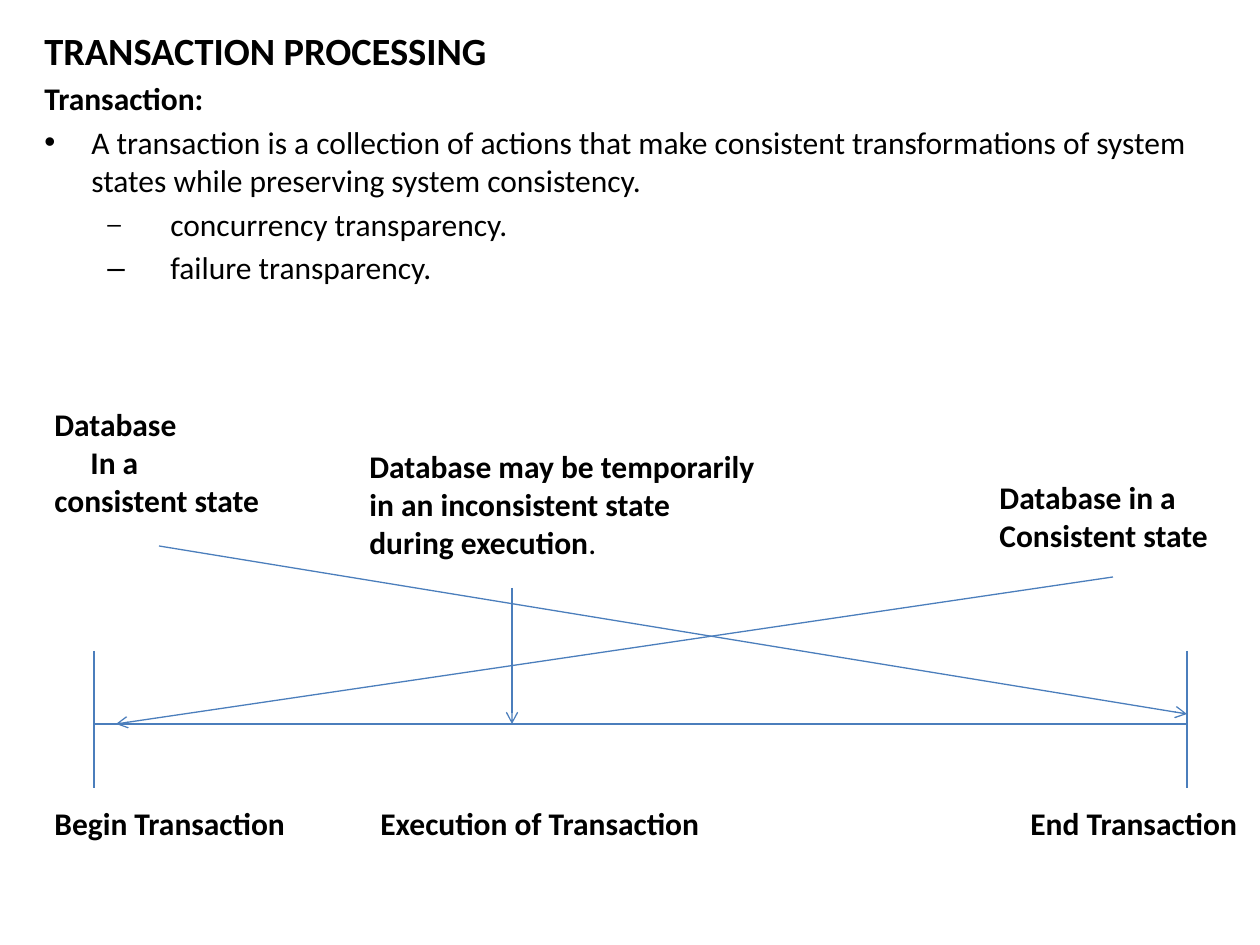
from lxml.etree import SubElement
from pptx import Presentation
from pptx.dml.color import RGBColor
from pptx.enum.shapes import MSO_CONNECTOR
from pptx.oxml.ns import qn
from pptx.util import Emu, Pt

BLACK, BLUE = "000000", "4B7EBC"


def px(length):
    """Turn pixels into EMU at 126 pixels to the inch."""
    return Emu(round(length * 914400 / 126))


def color(value):
    """Turn a hex string into a colour."""
    return RGBColor.from_string(value)


def write(paragraph, text, size=18, bold=True, before=0, margin=0, hanging=0,
          bullet=None, bullet_scale=100):
    """Write one formatted run, and the layout of its paragraph."""
    properties = paragraph._p.get_or_add_pPr()
    properties.set("marL", str(px(margin)))
    properties.set("indent", str(-px(hanging)))
    if bullet:
        SubElement(properties, qn("a:buSzPct"), val=str(bullet_scale * 1000))
        SubElement(properties, qn("a:buFont"), typeface="Arial")
        SubElement(properties, qn("a:buChar"), char=bullet)
    paragraph.space_before = Pt(before)
    run = paragraph.add_run()
    run.text = text
    run.font.name = "Calibri"
    run.font.size = Pt(size)
    run.font.bold = bold
    run.font.color.rgb = color(BLACK)


def add_text(slide, left, top, width, height, lines):
    """Add a text box with one paragraph for each (text, format) pair."""
    frame = slide.shapes.add_textbox(px(left), px(top), px(width), px(height)).text_frame
    frame.word_wrap = True
    for index, (text, style) in enumerate(lines):
        paragraph = frame.add_paragraph() if index else frame.paragraphs[0]
        write(paragraph, text, **style)
    return frame


def add_line(slide, start, end, arrow=False):
    """Draw a thin blue line, with an open arrowhead at its end on request."""
    line = slide.shapes.add_connector(
        MSO_CONNECTOR.STRAIGHT, *(px(value) for value in (*start, *end)))
    line.line.color.rgb = color(BLUE)
    line.line.width = Pt(0.75)
    if arrow:
        SubElement(line.line._get_or_add_ln(), qn("a:tailEnd"), type="arrow")
    SubElement(line._element.spPr, qn("a:effectLst"))


def add_definition(slide, left, top, width, height):
    """Place the heading and the definition of a transaction."""
    point = dict(bold=False, before=3.4, margin=47, hanging=47, bullet="•")
    aspect = dict(point, margin=126, hanging=63, bullet="–")
    add_text(slide, left, top, width, height, [
        ("TRANSACTION PROCESSING", dict(size=22)),
        ("Transaction:", dict(before=3.4)),
        ("A transaction is a collection of actions that make consistent "
         "transformations of system states while preserving system consistency.", point),
        ("concurrency transparency.", dict(aspect, bullet_scale=78)),
        ("failure transparency.", aspect),
    ])


def add_states(slide, left, top):
    """Place the descriptions of the database states above the timeline."""
    add_text(slide, left, top, 242, 127, [
        ("Database", {}), ("In a", dict(margin=36)), ("consistent state", {})])
    execution = add_text(slide, left + 315, top + 42, 431, 127, [
        ("Database may be temporarily", {}), ("in an inconsistent state", {}),
        ("during execution", {})])
    write(execution.paragraphs[-1], ".", bold=False)
    add_text(slide, left + 945, top + 73, 273, 89, [
        ("Database in a", {}), ("Consistent state", {})])


def add_timeline(slide, left, top, width, height):
    """Draw the timeline, its end marks and the arrows from the states."""
    right, axis = left + width, top + 178
    add_line(slide, (left + 1019, top + 31), (left + 22, axis), arrow=True)
    add_line(slide, (left, axis), (right, axis))
    for end in (left, right):
        add_line(slide, (end, top + 105), (end, top + height))
    add_line(slide, (left + 418, top + 42), (left + 418, axis), arrow=True)
    add_line(slide, (left + 65, top), (right, axis - 10), arrow=True)


def add_phases(slide, left, top):
    """Place the phase names below the timeline."""
    for offset, width, phase in ((0, 273, "Begin Transaction"),
                                 (326, 357, "Execution of Transaction"),
                                 (976, 242, "End Transaction")):
        add_text(slide, left + offset, top, width, 50, [(phase, {})])


def main():
    """Build and save the slide."""
    deck = Presentation()
    deck.slide_width, deck.slide_height = px(1260), px(945)
    slide = deck.slides.add_slide(deck.slide_layouts[6])
    add_definition(slide, 32, 21, 1207, 892)
    add_phases(slide, 42, 798)
    add_timeline(slide, 94, 546, 1093, 242)
    add_states(slide, 42, 399)
    deck.save("out.pptx")


if __name__ == "__main__":
    main()
